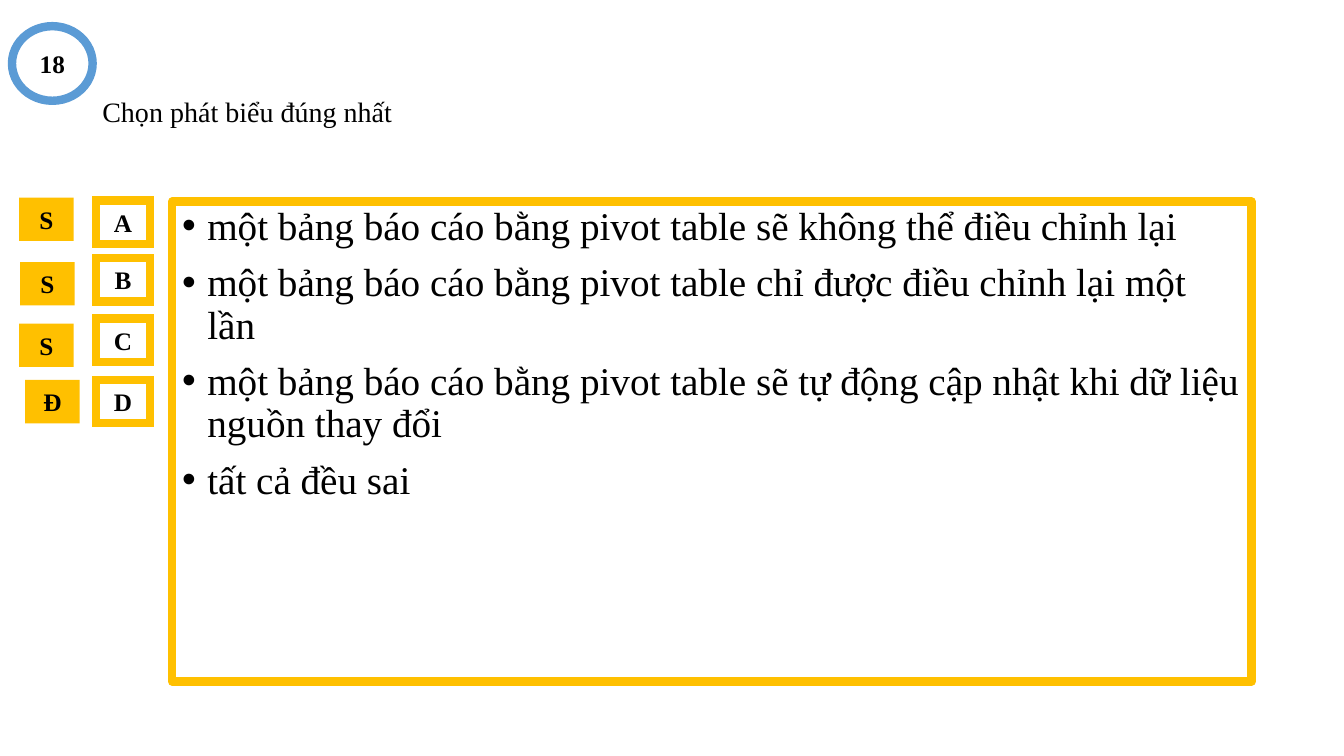
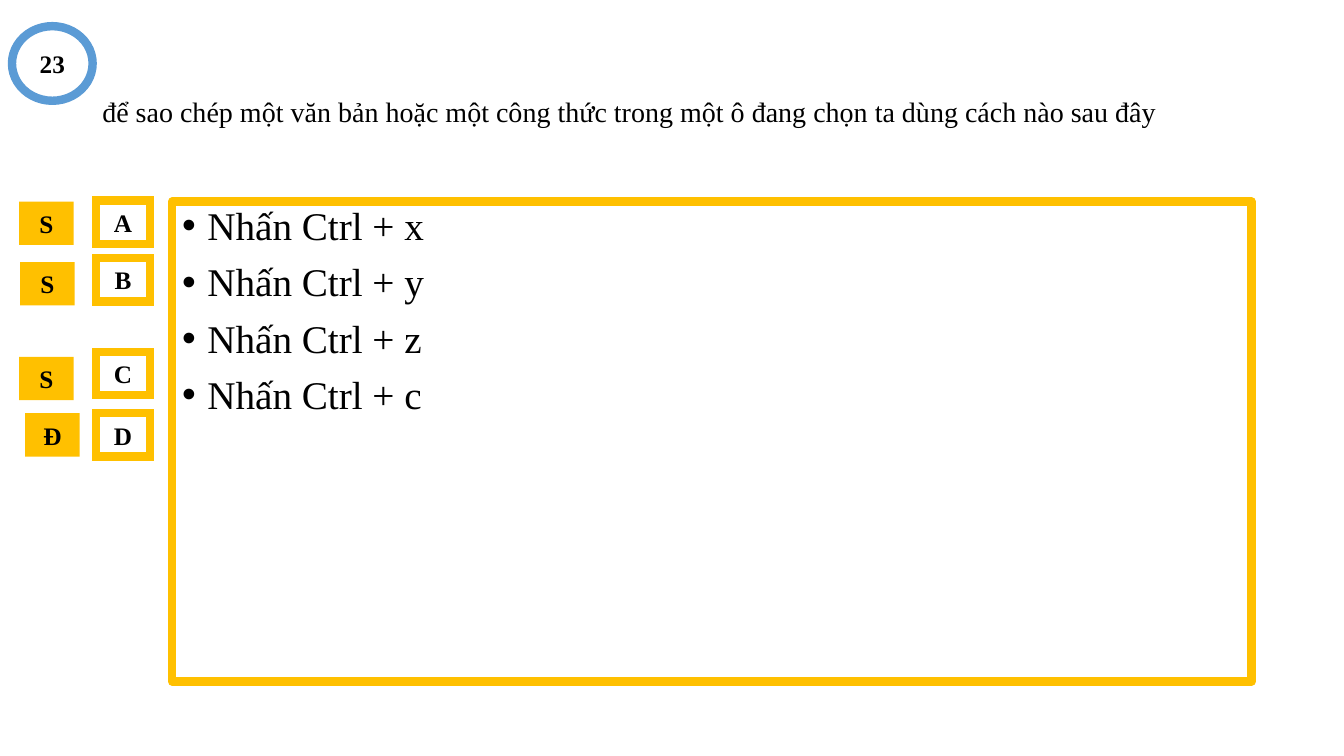
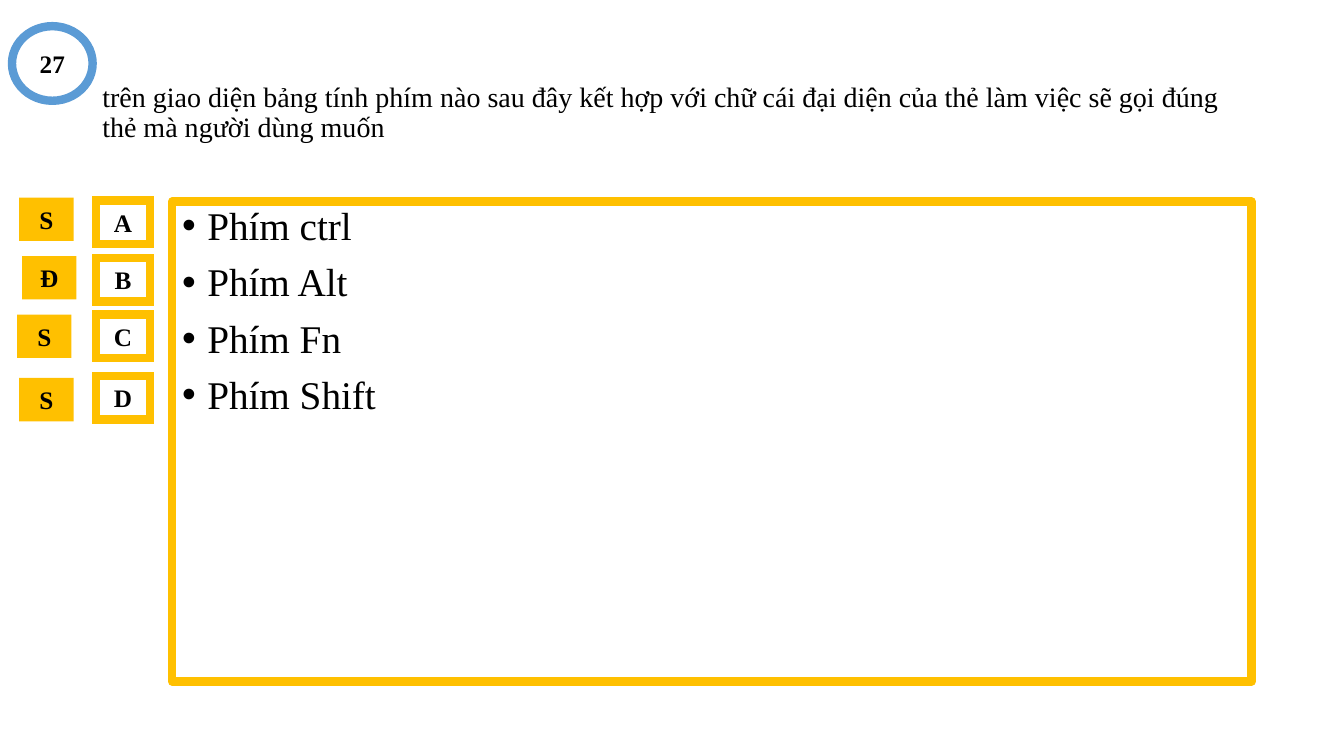
from dataclasses import dataclass

from lxml import etree
from pptx import Presentation
from pptx.dml.color import RGBColor
from pptx.enum.shapes import MSO_SHAPE
from pptx.enum.text import MSO_ANCHOR, PP_ALIGN
from pptx.oxml.ns import qn
from pptx.util import Pt

RECT, OVAL = MSO_SHAPE.RECTANGLE, MSO_SHAPE.OVAL
LEFT, CENTER = PP_ALIGN.LEFT, PP_ALIGN.CENTER
TOP, MIDDLE = MSO_ANCHOR.TOP, MSO_ANCHOR.MIDDLE

FONT = "Times New Roman"
WHITE, BLACK, GOLD, BLUE = "FFFFFF", "000000", "FFC000", "5B9BD5"
BORDER = 6
INDENT = 18

NUMBER_BOX = (8.6, 18.7, 57.6, 53.3)
QUESTION_BOX = (66, 28.8, 828, 104.4)
ANSWERS_BOX = (123, 144, 771, 342.8)
KEY_BOX = (68.4, 143.3, 38.9, 31)


@dataclass
class Answer:
    """An answer, its row offset, its mark and the mark's shift from its letter."""
    text: str
    row: float
    mark: str
    dx: float
    dy: float


QUESTIONS = [
    ("18", "Chọn phát biểu đúng nhất", [
        Answer("một bảng báo cáo bằng pivot table sẽ không thể điều chỉnh lại",
               0, "S", -54.7, -2.2),
        Answer("một bảng báo cáo bằng pivot table chỉ được điều chỉnh lại một lần",
               41, "S", -54, 2.9),
        Answer("một bảng báo cáo bằng pivot table sẽ tự động cập nhật khi dữ liệu "
               "nguồn thay đổi", 84.2, "S", -54.7, 3.6),
        Answer("tất cả đều sai", 128.1, "Đ", -50.4, 0),
    ]),
    ("23", "để sao chép một văn bản hoặc một công thức trong một ô đang chọn "
           "ta dùng cách nào sau đây", [
        Answer("Nhấn Ctrl + x", 0, "S", -54.7, 0.7),
        Answer("Nhấn Ctrl + y", 41, "S", -54, 2.9),
        Answer("Nhấn Ctrl + z", 108, "S", -54.7, 3.6),
        Answer("Nhấn Ctrl + c", 151.9, "Đ", -50.4, 0),
    ]),
    ("27", "trên giao diện bảng tính phím nào sau đây kết hợp với chữ cái đại diện "
           "của thẻ làm việc sẽ gọi đúng thẻ mà người dùng muốn", [
        Answer("Phím ctrl", 0, "S", -54.7, -2.2),
        Answer("Phím Alt", 41, "Đ", -52.6, -1.4),
        Answer("Phím Fn", 81.4, "S", -56.2, 0),
        Answer("Phím Shift", 125.3, "S", -54.7, 1.4),
    ]),
]


def rgb(code):
    """Turn a hex string into a colour."""
    return RGBColor.from_string(code)


def add_box(s, box, kind=RECT, fill=WHITE, alpha=100, line=None, miter=False):
    """Add a preset shape with its fill and border."""
    sp = s.shapes.add_shape(kind, *(Pt(v) for v in box))
    sp.shadow.inherit = False
    sp.fill.solid()
    sp.fill.fore_color.rgb = rgb(fill)
    if alpha < 100:
        color = sp.fill._xPr.find(qn("a:solidFill")).find(qn("a:srgbClr"))
        etree.SubElement(color, qn("a:alpha"), val=str(alpha * 1000))
    if line is None:
        sp.line.fill.background()
        return sp
    sp.line.color.rgb = rgb(line)
    sp.line.width = Pt(BORDER)
    if miter:
        etree.SubElement(sp.line._get_or_add_ln(), qn("a:miter"), lim="800000")
    return sp


def add_bullet(p):
    """Give a paragraph a round bullet and a hanging indent."""
    pPr = p._p.get_or_add_pPr()
    pPr.set("marL", str(Pt(INDENT)))
    pPr.set("indent", str(-Pt(INDENT)))
    etree.SubElement(pPr, qn("a:buFont"), typeface="Arial")
    etree.SubElement(pPr, qn("a:buChar"), char="•")


def write(sp, *texts, size=18, bold=False, align=CENTER, anchor=MIDDLE,
          spacing=None, before=0, bullet=False):
    """Write one paragraph for each text into a shape."""
    tf = sp.text_frame
    tf.word_wrap = True
    tf.vertical_anchor = anchor
    for i, text in enumerate(texts):
        p = tf.add_paragraph() if i else tf.paragraphs[0]
        if bullet:
            add_bullet(p)
        p.alignment = align
        if spacing:
            p.line_spacing = spacing
        if i and before:
            p.space_before = Pt(before)
        r = p.add_run()
        r.text = text
        r.font.name, r.font.size, r.font.bold = FONT, Pt(size), bold
        r.font.color.rgb = rgb(BLACK)


def add_question(s, box, text):
    """Place the question line."""
    write(add_box(s, box, alpha=79), text, size=20, align=LEFT, spacing=0.9)


def add_answers(s, box, answers):
    """Place the framed list of answers."""
    sp = add_box(s, box, alpha=79, line=GOLD)
    write(sp, *(a.text for a in answers), size=28, align=LEFT, anchor=TOP,
          spacing=0.9, before=10, bullet=True)


def add_number(s, box, number):
    """Place the ringed question number."""
    write(add_box(s, box, OVAL, line=BLUE), number, bold=True)


def add_key(s, box, answers):
    """Place the letters, the first in the given box, and the mark beside each."""
    x, y, w, h = box
    for letter, a in zip("ABCD", answers):
        top = y + a.row
        sp = add_box(s, (x, top, w, h), alpha=85, line=GOLD, miter=True)
        write(sp, letter, bold=True)
        sp = add_box(s, (x + a.dx, top + a.dy, w, h), fill=GOLD)
        write(sp, a.mark, bold=True)


def add_slide(prs, number, question, answers):
    """Build one question slide."""
    s = prs.slides.add_slide(prs.slide_layouts[6])
    add_question(s, QUESTION_BOX, question)
    add_answers(s, ANSWERS_BOX, answers)
    add_number(s, NUMBER_BOX, number)
    add_key(s, KEY_BOX, answers)


def main():
    """Build and save the presentation."""
    prs = Presentation()
    prs.slide_width, prs.slide_height = Pt(960), Pt(540)
    for question in QUESTIONS:
        add_slide(prs, *question)
    prs.save("out.pptx")


if __name__ == "__main__":
    main()
